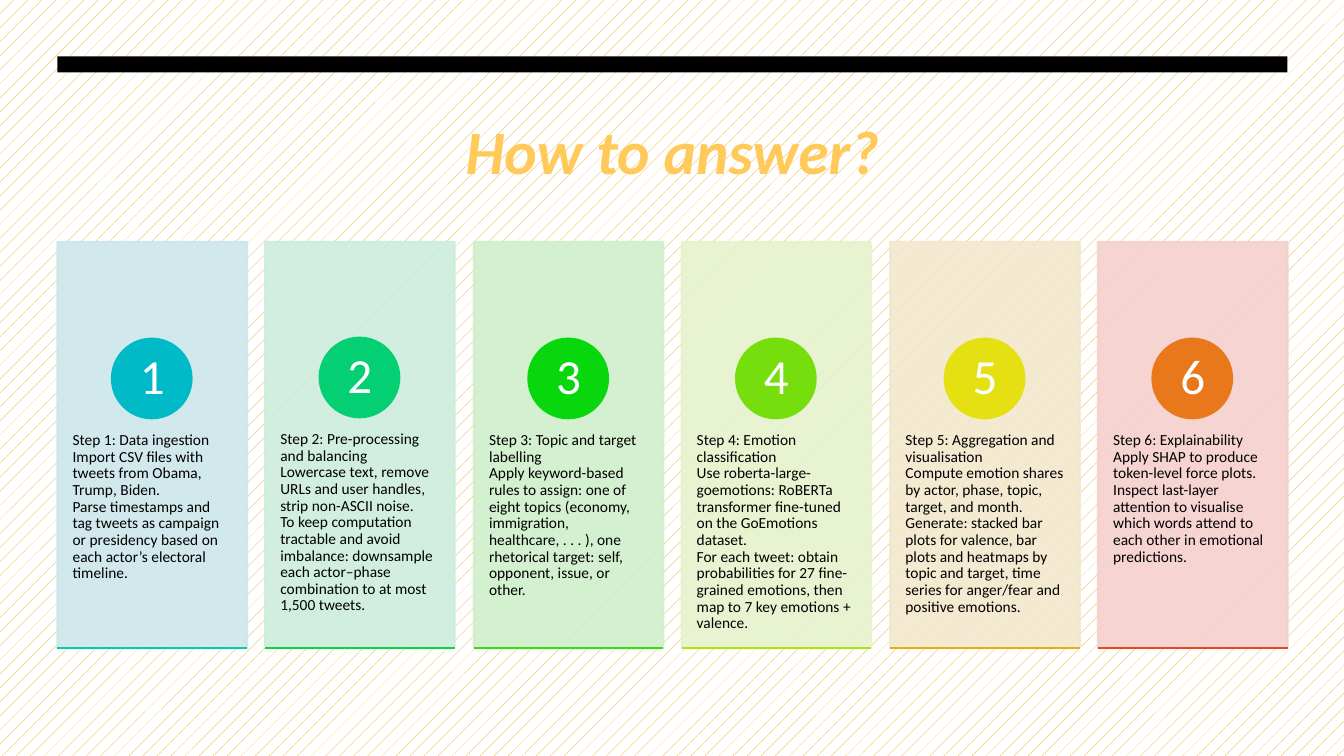
import pptx
import pptx.dml.color
import pptx.enum.dml
import pptx.enum.shapes
import pptx.enum.text
import pptx.oxml.ns
import pptx.util
import lxml.etree
import dataclasses

PX = 9144
PAGE_WIDTH, PAGE_HEIGHT = 1333, 750
CARD_LEFT, CARD_PITCH, CARD_WIDTH = 57, 206.4, 188
CARD_TOP, CARD_BOTTOM = 240, 643
CIRCLE_TOP, CIRCLE_SIZE = 336, 79
NUMBER_SIZE = 56
BODY_TOP, BODY_HEIGHT = 393, 242

ALIGN = pptx.enum.text.PP_ALIGN
ANCHOR = pptx.enum.text.MSO_ANCHOR
SHAPE = pptx.enum.shapes.MSO_SHAPE


@dataclasses.dataclass(frozen=True)
class Theme:
    font: str = "Calibri"
    title_size: int = 44
    number_size: int = 35
    body_size: int = 11
    line_width: float = 1.5
    card_opacity: int = 90
    black: str = "000000"
    white: str = "FFFFFF"
    gold: str = "FFCA5A"
    pattern: str = "EBA000"
    cards: tuple = ("CCE7EB", "CCEDDE", "CFEFCC", "E6F2CD", "F3E7CD", "F5D0CD")
    circles: tuple = ("00BAC8", "04D073", "08D70D", "76DE0D", "E5E012", "E8781B")
    rules: tuple = ("02CCA5", "06D441", "3CDB0B", "B0E210", "E8AC15", "E64823")


THEME = Theme()

STEPS = (
    ("Step 1: Data ingestion",
     "Import CSV files with tweets from Obama, Trump, Biden.",
     "Parse timestamps and tag tweets as campaign or presidency based on each "
     "actor’s electoral timeline."),
    ("Step 2: Pre-processing and balancing",
     "Lowercase text, remove URLs and user handles, strip non-ASCII noise.",
     "To keep computation tractable and avoid imbalance: downsample each "
     "actor–phase combination to at most 1,500 tweets."),
    ("Step 3: Topic and target labelling",
     "Apply keyword-based rules to assign: one of eight topics (economy, "
     "immigration, healthcare, . . . ), one rhetorical target: self, opponent, "
     "issue, or other."),
    ("Step 4: Emotion classification",
     "Use roberta-large-goemotions: RoBERTa transformer fine-tuned on the "
     "GoEmotions dataset.",
     "For each tweet: obtain probabilities for 27 fine-grained emotions, then "
     "map to 7 key emotions + valence."),
    ("Step 5: Aggregation and visualisation",
     "Compute emotion shares by actor, phase, topic, target, and month.",
     "Generate: stacked bar plots for valence, bar plots and heatmaps by topic "
     "and target, time series for anger/fear and positive emotions."),
    ("Step 6: Explainability",
     "Apply SHAP to produce token-level force plots.",
     "Inspect last-layer attention to visualise which words attend to each "
     "other in emotional predictions."),
)


def px(*lengths):
    return [pptx.util.Emu(round(length) * PX) for length in lengths]


def rgb(color):
    return pptx.dml.color.RGBColor.from_string(color)


def set_pattern(fill):
    fill.patterned()
    fill.pattern = pptx.enum.dml.MSO_PATTERN.PERCENT_5
    fill.fore_color.rgb = rgb(THEME.pattern)
    fill.back_color.rgb = rgb(THEME.white)


def set_opacity(shape, percent):
    for color in shape._element.spPr.iter(pptx.oxml.ns.qn("a:srgbClr")):
        alpha = lxml.etree.SubElement(color, pptx.oxml.ns.qn("a:alpha"))
        alpha.set("val", str(percent * 1000))


def add_block(page, kind, place, color=None, outlined=False):
    shape = page.shapes.add_shape(kind, *px(*place))
    shape.shadow.inherit = False
    if color:
        shape.fill.solid()
        shape.fill.fore_color.rgb = rgb(color)
    if outlined:
        shape.line.color.rgb = rgb(color)
        shape.line.width = pptx.util.Pt(THEME.line_width)
    else:
        shape.line.fill.background()
    return shape


def add_rule(page, left, top, width, color):
    rule = page.shapes.add_connector(
        pptx.enum.shapes.MSO_CONNECTOR.STRAIGHT, *px(left, top, left + width, top))
    rule.line.color.rgb = rgb(color)
    rule.line.width = pptx.util.Pt(THEME.line_width)
    lxml.etree.SubElement(rule._element.spPr, pptx.oxml.ns.qn("a:effectLst"))


def add_text(page, place, lines, size, color, align=ALIGN.LEFT, anchor=ANCHOR.TOP,
             insets=(10, 5), spacing=0.9, bold=False, italic=False):
    frame = page.shapes.add_textbox(*px(*place)).text_frame
    frame.word_wrap = True
    frame.vertical_anchor = anchor
    frame.margin_left, frame.margin_top = px(*insets)
    frame.margin_right, frame.margin_bottom = px(*insets)
    for index, line in enumerate(lines):
        para = frame.paragraphs[0] if index == 0 else frame.add_paragraph()
        para.alignment = align
        para.line_spacing = spacing
        span = para.add_run()
        span.text = line
        span.font.name = THEME.font
        span.font.size = pptx.util.Pt(size)
        span.font.color.rgb = rgb(color)
        span.font.bold = bold
        span.font.italic = italic


def add_step(page, index, lines):
    left = round(CARD_LEFT + index * CARD_PITCH)
    lift = 1 if index == 1 else 0
    circle_left = left + (CARD_WIDTH - CIRCLE_SIZE) // 2
    circle_top = CIRCLE_TOP - lift
    number_gap = (CIRCLE_SIZE - NUMBER_SIZE + 1) // 2

    card = add_block(page, SHAPE.RECTANGLE,
                     (left, CARD_TOP, CARD_WIDTH, CARD_BOTTOM - CARD_TOP - 2 * lift),
                     THEME.cards[index], outlined=True)
    set_opacity(card, THEME.card_opacity)
    add_text(page, (left, BODY_TOP - lift, CARD_WIDTH, BODY_HEIGHT - 2 * lift), lines,
             THEME.body_size, THEME.black, insets=(15, 36))
    add_block(page, SHAPE.OVAL, (circle_left, circle_top, CIRCLE_SIZE, CIRCLE_SIZE),
              THEME.circles[index], outlined=True)
    add_text(page, (circle_left + number_gap, circle_top + number_gap,
                    NUMBER_SIZE, NUMBER_SIZE), [str(index + 1)],
             THEME.number_size, THEME.white, align=ALIGN.CENTER,
             anchor=ANCHOR.MIDDLE, insets=(6, 1))
    add_rule(page, left, CARD_BOTTOM, CARD_WIDTH, THEME.rules[index])


def main():
    deck = pptx.Presentation()
    deck.slide_width, deck.slide_height = px(PAGE_WIDTH, PAGE_HEIGHT)
    page = deck.slides.add_slide(deck.slide_layouts[6])
    set_pattern(page.background.fill)
    backdrop = add_block(page, SHAPE.RECTANGLE, (0, 0, PAGE_WIDTH, PAGE_HEIGHT))
    set_pattern(backdrop.fill)
    add_text(page, (57, 107, 1220, 160), ["How to answer?"], THEME.title_size,
             THEME.gold, align=ALIGN.CENTER, spacing=1.0, bold=True, italic=True)
    add_block(page, SHAPE.RECTANGLE, (57, 56, 1220, 16), THEME.black)
    for index, lines in enumerate(STEPS):
        add_step(page, index, lines)
    deck.save("out.pptx")


if __name__ == "__main__":
    main()
